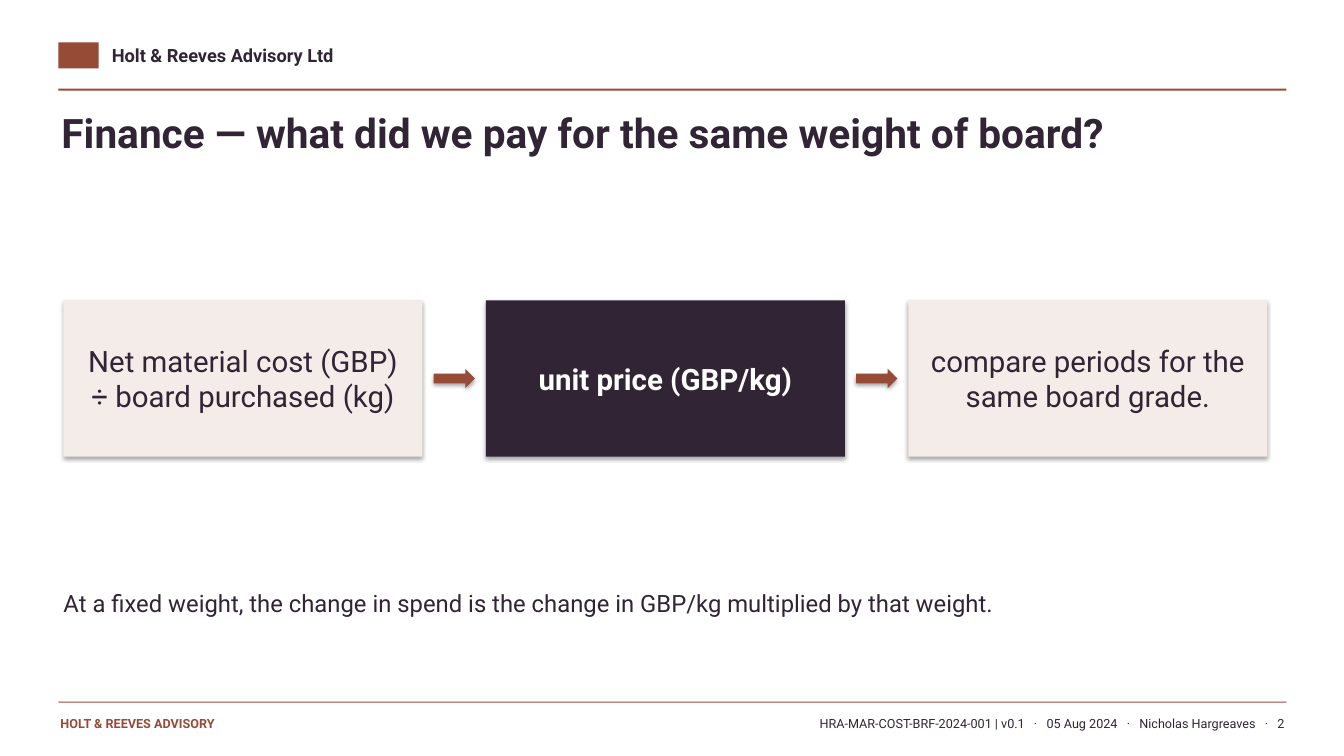
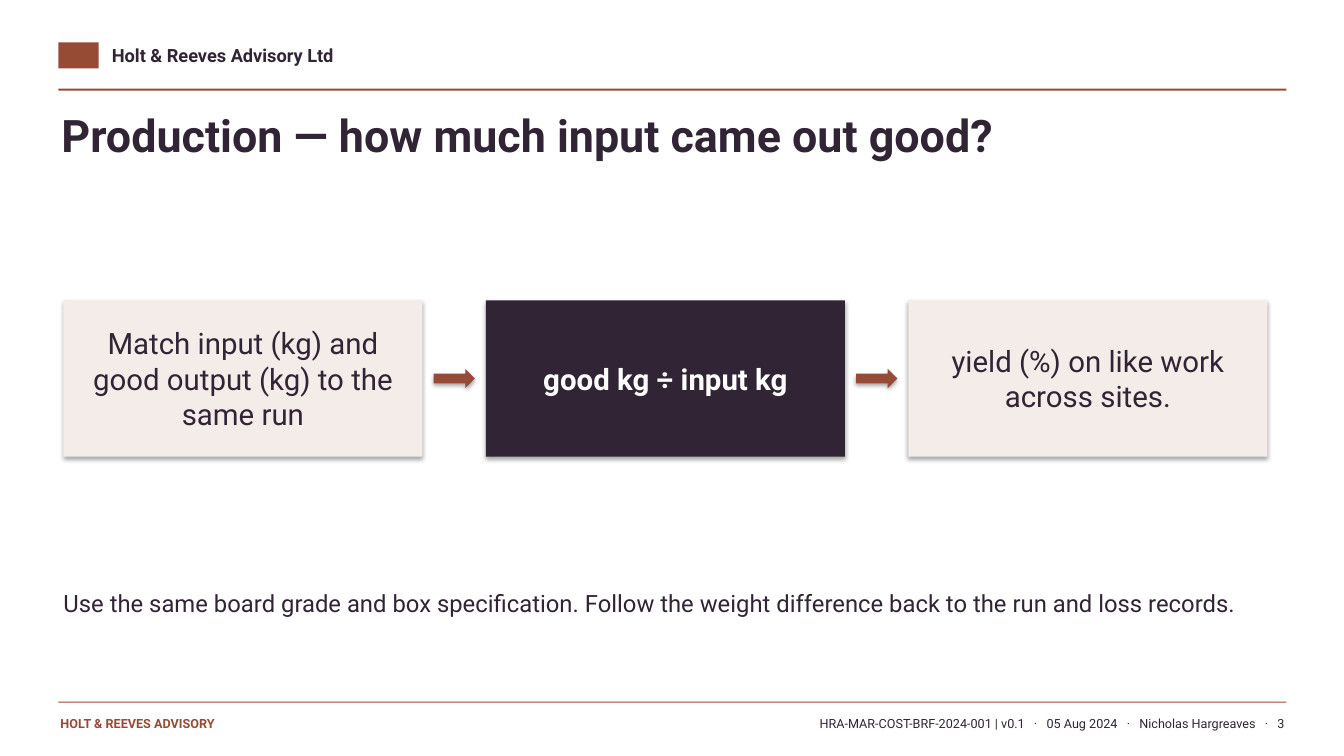
from dataclasses import dataclass

from pptx import Presentation
from pptx.dml.color import RGBColor
from pptx.enum.shapes import MSO_SHAPE
from pptx.enum.text import MSO_ANCHOR, MSO_AUTO_SIZE, PP_ALIGN
from pptx.util import Inches, Pt


@dataclass(frozen=True)
class Theme:
    font: str = "Roboto"
    rust: str = "964B37"
    plum: str = "302435"
    blush: str = "F4ECE8"
    white: str = "FFFFFF"
    brand_size: int = 13
    step_size: int = 21
    note_size: int = 17
    footer_size: int = 9


THEME = Theme()
COMPANY = "Holt & Reeves Advisory Ltd"
FOOTER_NAME = "HOLT & REEVES ADVISORY"
FOOTER_ITEMS = ["HRA-MAR-COST-BRF-2024-001 | v0.1", "05 Aug 2024", "Nicholas Hargreaves"]
FIRST_NUMBER = 2

# Boxes are left, top, width, height in inches.
TITLE_BOX = (0.61, 1.07, 12, 0.78)
FLOW_BOX = (0.63, 2.98, 11.94, 1.55)
NOTE_BOX = (0.63, 5.84, 11.94, 0.8)
PAGE_BOX = (4.12, 7.1, 8.62, 0.25)

SLIDES = [
    {
        "title": "Finance — what did we pay for the same weight of board?",
        "title_size": 29,
        "steps": [
            "Net material cost (GBP) ÷ board purchased (kg)",
            "unit price (GBP/kg)",
            "compare periods for the same board grade.",
        ],
        "note": "At a fixed weight, the change in spend is the change in GBP/kg "
                "multiplied by that weight.",
    },
    {
        "title": "Production — how much input came out good?",
        "title_size": 32,
        "steps": [
            "Match input (kg) and good output (kg) to the same run",
            "good kg ÷ input kg",
            "yield (%) on like work across sites.",
        ],
        "note": "Use the same board grade and box specification. Follow the weight "
                "difference back to the run and loss records.",
    },
]


def place(box):
    return [Inches(round(value, 2)) for value in box]


def format_text(sp, size, color, bold=False, align=PP_ALIGN.LEFT,
                anchor=MSO_ANCHOR.TOP, side=0):
    tf = sp.text_frame
    tf.word_wrap = True
    tf.auto_size = MSO_AUTO_SIZE.NONE
    tf.vertical_anchor = anchor
    tf.margin_left = tf.margin_right = Inches(side)
    tf.margin_top = tf.margin_bottom = 0
    for p in tf.paragraphs:
        p.alignment = align
        for r in p.runs:
            r.font.name = THEME.font
            r.font.size = Pt(size)
            r.font.bold = bold
            r.font.color.rgb = RGBColor.from_string(color)


def add_text(slide, box, text, size, color, bold=False):
    sp = slide.shapes.add_textbox(*place(box))
    sp.text_frame.text = text
    format_text(sp, size, color, bold)
    return sp


def add_block(slide, kind, box, fill, shadow=False):
    sp = slide.shapes.add_shape(kind, *place(box))
    sp.fill.solid()
    sp.fill.fore_color.rgb = RGBColor.from_string(fill)
    sp.line.fill.background()
    if not shadow:
        sp.shadow.inherit = False
    return sp


def brand_layout(layout, slide):
    """Build the shared header and footer on a slide, then move them to its layout."""
    parts = [
        add_block(slide, MSO_SHAPE.RECTANGLE, (0.58, 0.42, 0.4, 0.26), THEME.rust),
        add_text(slide, (1.11, 0.44, 6, 0.27), COMPANY, THEME.brand_size, THEME.plum, True),
        add_block(slide, MSO_SHAPE.RECTANGLE, (0.58, 0.88, 12.18, 0.02), THEME.rust),
        add_block(slide, MSO_SHAPE.RECTANGLE, (0.58, 6.96, 12.18, 0.01), THEME.rust),
        add_text(slide, (0.6, 7.1, 3.4, 0.25), FOOTER_NAME, THEME.footer_size,
                 THEME.rust, True),
    ]
    for shape_id, sp in enumerate(parts, 100):
        sp.element.nvSpPr.cNvPr.set("id", str(shape_id))
        layout.shapes.element.append(sp.element)


def set_title(slide, text, size):
    title = slide.shapes.title
    title.left, title.top, title.width, title.height = place(TITLE_BOX)
    title.text_frame.text = text
    format_text(title, size, THEME.plum, bold=True)


def add_flow(slide, box, steps, gap=0.63, arrow_w=0.41, arrow_h=0.19):
    """Equal boxes joined by arrows; the middle one is emphasised."""
    left, top, width, height = box
    step_w = (width - gap * (len(steps) - 1)) / len(steps)
    for i, text in enumerate(steps):
        x = left + i * (step_w + gap)
        if i:
            arrow = (x - (gap + arrow_w) / 2, top + (height - arrow_h) / 2, arrow_w, arrow_h)
            add_block(slide, MSO_SHAPE.RIGHT_ARROW, arrow, THEME.rust, shadow=True)
        key = i == len(steps) // 2
        sp = add_block(slide, MSO_SHAPE.RECTANGLE, (x, top, step_w, height),
                       THEME.plum if key else THEME.blush, shadow=True)
        sp.text_frame.text = text
        format_text(sp, THEME.step_size, THEME.white if key else THEME.plum, bold=key,
                    align=PP_ALIGN.CENTER, anchor=MSO_ANCHOR.MIDDLE, side=0.18)


def add_page_line(slide, box, number):
    """Document details and page number, with widely spaced dots between them."""
    sp = slide.shapes.add_textbox(*place(box))
    p = sp.text_frame.paragraphs[0]
    for i, item in enumerate([*FOOTER_ITEMS, str(number)]):
        if i:
            dot = p.add_run()
            dot.text = " ·"
            dot.font._element.set("spc", "440")
        p.add_run().text = f" {item}" if i else item
    format_text(sp, THEME.footer_size, THEME.plum, align=PP_ALIGN.RIGHT)


def add_question_slide(prs, layout, content, number):
    slide = prs.slides.add_slide(layout)
    if number == FIRST_NUMBER:
        brand_layout(layout, slide)
    set_title(slide, content["title"], content["title_size"])
    add_text(slide, NOTE_BOX, content["note"], THEME.note_size, THEME.plum)
    add_flow(slide, FLOW_BOX, content["steps"])
    add_page_line(slide, PAGE_BOX, number)


def main():
    prs = Presentation()
    prs.slide_width, prs.slide_height = Inches(13.33), Inches(7.5)
    layout = prs.slide_layouts.get_by_name("Title Only")
    for number, content in enumerate(SLIDES, FIRST_NUMBER):
        add_question_slide(prs, layout, content, number)
    prs.save("out.pptx")


if __name__ == "__main__":
    main()
